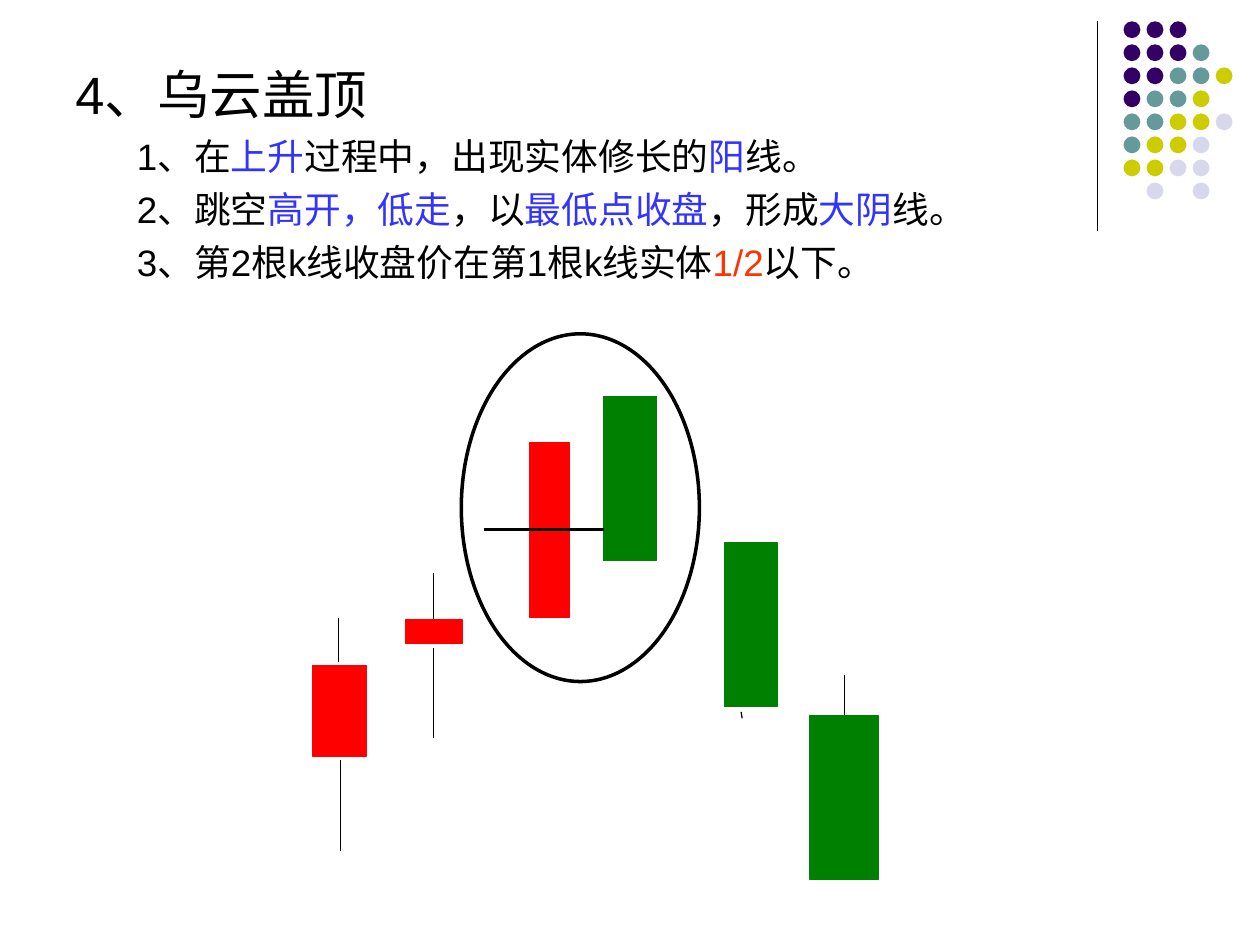
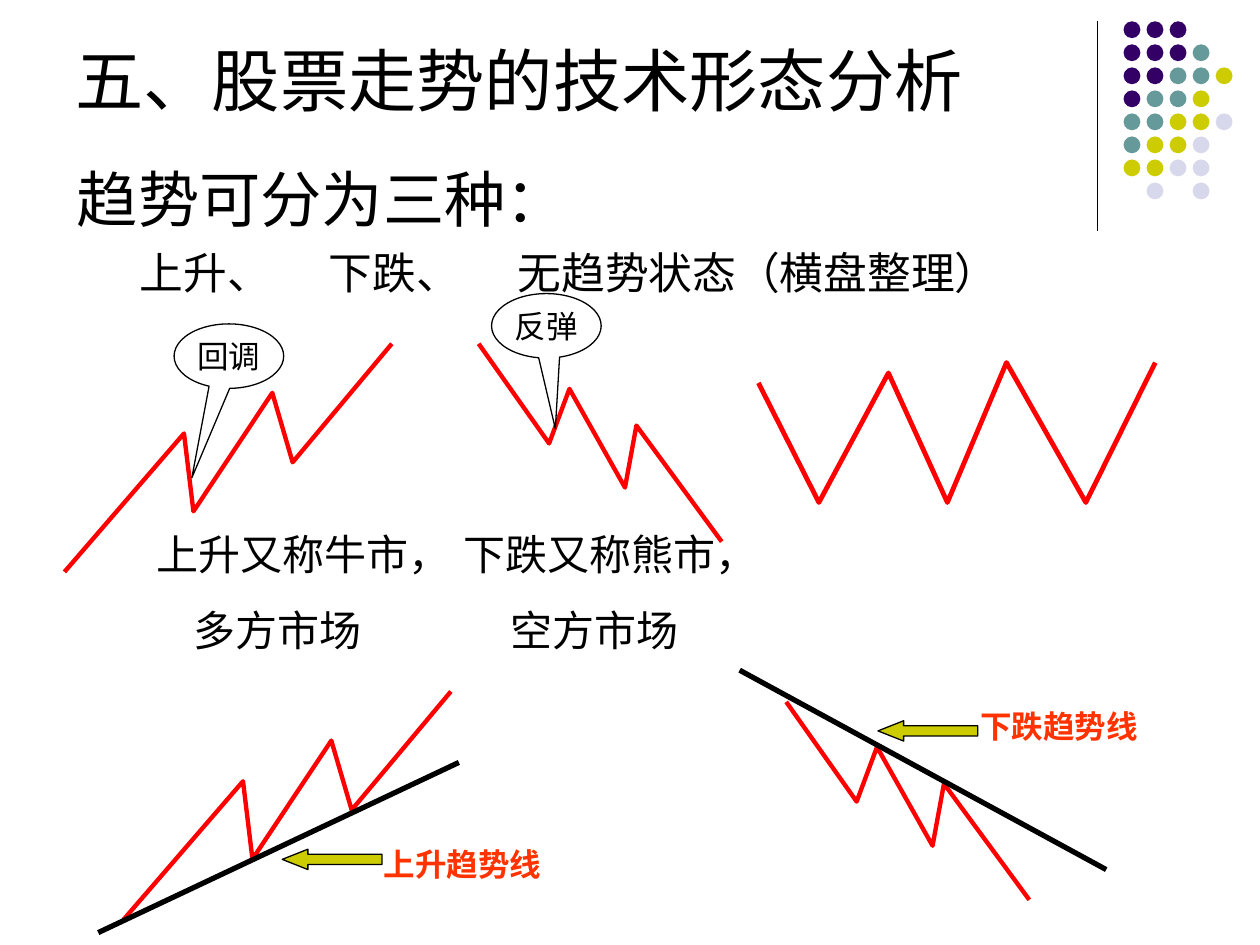
from lxml.etree import SubElement
from pptx import Presentation
from pptx.dml.color import RGBColor
from pptx.enum.shapes import MSO_CONNECTOR, MSO_SHAPE
from pptx.enum.text import MSO_ANCHOR, PP_ALIGN
from pptx.oxml.ns import qn
from pptx.util import Cm, Pt

HUES = {
    "ink": "000000", "blue": "3333FF", "warm": "FF3300",
    "rise": "FF0000", "fall": "008000",
    "P": "330066", "T": "669999", "Y": "CCCC00", "L": "D8D8EC",
}

# All lengths are in centimetres.
DOTS = ["PPP", "PPPT", "PPTTY", "PTTY", "TTYYL", "TYYL", "YYLL", " L L"]
DOT_X, DOT_Y, DOT_SIZE, DOT_STEP = 22.65, 0.43, 0.34, 3.25 / 7
RULE = (22.12, 0.43, 22.12, 4.65)

# A paragraph is (runs, size, space before, indent); a run is (text, hue).
CLOUD = [
    ([("4、乌云盖顶", "ink")], 30, 0, 0),
    ([("1、在", "ink"), ("上升", "blue"), ("过程中，出现实体修长的", "ink"),
      ("阳", "blue"), ("线。", "ink")], 21, 5.2, 1.24),
    ([("2、跳空", "ink"), ("高开，低走", "blue"), ("，以", "ink"),
      ("最低点收盘", "blue"), ("，形成", "ink"), ("大阴", "blue"),
      ("线。", "ink")], 21, 5.2, 1.24),
    ([("3、第2根k线收盘价在第1根k线实体", "ink"), ("1/2", "warm"),
      ("以下。", "ink")], 21, 5.2, 1.24),
]
WICKS = [
    (6.83, 12.45, 6.83, 13.34), (6.86, 15.32, 6.86, 17.15),
    (8.74, 11.56, 8.74, 12.47), (8.74, 13.06, 8.74, 14.88),
    (14.94, 14.35, 14.96, 14.48), (17.02, 13.61, 17.02, 14.5),
]
CANDLES = [
    ("rise", (6.3, 13.41, 1.09, 1.83)),
    ("rise", (8.18, 12.5, 1.14, 0.48)),
    ("rise", (10.67, 8.92, 0.81, 3.53)),
    ("fall", (12.17, 8, 1.07, 3.3)),
    ("fall", (14.6, 10.95, 1.07, 3.3)),
    ("fall", (16.33, 14.43, 1.37, 3.3)),
]
HALF = (9.75, 10.67, 12.17, 10.67)
RING = (9.3, 6.73, 4.8, 7.01)

TITLE = [([("五、股票走势的技术形态分析", "ink")], 39, 0, 0)]
KINDS = [
    ([("趋势可分为三种：", "ink")], 35, 0, 0),
    ([("\t上升、\t下跌、\t无趋势状态（横盘整理）", "ink")], 25, 6.2, 0),
]
KIND_TABS = [1.98 + 4.42 * i for i in range(3)]
MARKETS = [
    (2.9, 6.81, "上升又称牛市，", "多方市场", 0.76),
    (9.09, 6.6, "下跌又称熊市，", "空方市场", 0.95),
]

# Each zigzag is a list of offsets from its first point.
UP = [(2.41, -2.79), (2.6, -1.22), (4.19, -3.61), (4.6, -2.21), (6.6, -4.6)]
DOWN = [(1.42, 2.01), (1.83, 0.91), (2.95, 2.9), (3.18, 1.65), (4.9, 3.99)]
FLAT = [(1.22, 2.41), (2.62, -0.2), (3.81, 2.41), (5, -0.41), (6.6, 2.41),
        (8, -0.41)]
ZIGZAGS = [
    (UP, 1.3, 11.53, 2.5), (DOWN, 9.65, 6.93, 2.5), (FLAT, 15.29, 7.72, 2.75),
    (UP, 2.49, 18.54, 2.5), (DOWN, 15.85, 14.15, 2.5),
]
TRENDS = [(1.98, 18.8, 9.25, 15.37), (14.91, 13.51, 22.3, 17.53)]
ARROWS = [
    (5.69, 17.12, "上升趋势线", (7.49, 16.92, 3.78, 1.02)),
    (17.7, 14.53, "下跌趋势线", (19.51, 14.12, 3.68, 1.02)),
]
CALLS = [
    ("回调", (3.51, 6.53, 2.21, 1.3), (-0.338, 1.888)),
    ("反弹", (9.91, 5.92, 2.21, 1.3), (0.082, 1.595)),
]


def hue(name):
    return RGBColor.from_string(HUES[name])


def paint(shape, fill=None, edge=None, width=0.75):
    shape.shadow.inherit = False
    if fill:
        shape.fill.solid()
        shape.fill.fore_color.rgb = hue(fill)
    else:
        shape.fill.background()
    if edge:
        shape.line.color.rgb = hue(edge)
        shape.line.width = Pt(width)
    else:
        shape.line.fill.background()


def form(slide, kind, area, fill=None, edge=None, width=0.75, bends=()):
    shape = slide.shapes.add_shape(kind, *map(Cm, area))
    paint(shape, fill, edge, width)
    for i, bend in enumerate(bends):
        shape.adjustments[i] = bend
    return shape


def line(slide, ends, width=0.75):
    link = slide.shapes.add_connector(MSO_CONNECTOR.STRAIGHT, *map(Cm, ends))
    link.line.color.rgb = hue("ink")
    link.line.width = Pt(width)
    SubElement(link._element.spPr, qn("a:effectLst"))


def zigzag(slide, steps, x, y, width):
    pen = slide.shapes.build_freeform(Cm(x), Cm(y))
    pen.add_line_segments([(Cm(x + dx), Cm(y + dy)) for dx, dy in steps],
                          close=False)
    paint(pen.convert_to_shape(), None, "rise", width)


def write(frame, paras, font="Arial", bold=False, tabs=()):
    for i, (runs, size, gap, dent) in enumerate(paras):
        para = frame.paragraphs[0] if i == 0 else frame.add_paragraph()
        props = para._p.get_or_add_pPr()
        props.set("marL", str(Cm(dent)))
        props.set("indent", "0")
        if gap:
            para.space_before = Pt(gap)
        if tabs:
            stops = SubElement(props, qn("a:tabLst"))
            for stop in tabs:
                SubElement(stops, qn("a:tab"), pos=str(Cm(stop)), algn="l")
        for text, tint in runs:
            run = para.add_run()
            run.text = text
            run.font.name = font
            run.font.size = Pt(size)
            run.font.bold = bold
            run.font.color.rgb = hue(tint)


def label(slide, area, paras, wrap=True, anchor=MSO_ANCHOR.TOP, **style):
    frame = slide.shapes.add_textbox(*map(Cm, area)).text_frame
    frame.word_wrap = wrap
    frame.vertical_anchor = anchor
    write(frame, paras, **style)


def start(deck):
    """Add a slide with the shared rule and dot pattern."""
    slide = deck.slides.add_slide(deck.slide_layouts[6])
    line(slide, RULE)
    for r, row in enumerate(DOTS):
        for c, key in enumerate(row):
            if key != " ":
                spot = (DOT_X + c * DOT_STEP, DOT_Y + r * DOT_STEP,
                        DOT_SIZE, DOT_SIZE)
                form(slide, MSO_SHAPE.OVAL, spot, key)
    return slide


def cloud(deck):
    slide = start(deck)
    label(slide, (1.27, 1.12, 22.86, 15.9), CLOUD)
    for ends in WICKS:
        line(slide, ends)
    for tint, area in CANDLES:
        form(slide, MSO_SHAPE.RECTANGLE, area, tint, tint)
    line(slide, HALF, 2)
    form(slide, MSO_SHAPE.OVAL, RING, None, "ink", 2)


def trends(deck):
    slide = start(deck)
    label(slide, (1.27, 0.33, 20.96, 2.21), TITLE, anchor=MSO_ANCHOR.BOTTOM)
    label(slide, (1.3, 3.12, 23.39, 3.4), KINDS, tabs=KIND_TABS)
    for zig in ZIGZAGS:
        zigzag(slide, *zig)
    for x, wide, name, side, dent in MARKETS:
        label(slide, (x, 10.52, wide, 2.82),
              [([(name, "ink")], 24, 0, 0), ([(side, "ink")], 24, 15, dent)],
              font="DejaVu Sans")
    for ends in TRENDS:
        line(slide, ends, 3)
    for x, y, text, area in ARROWS:
        form(slide, MSO_SHAPE.LEFT_ARROW, (x, y, 2.01, 0.41), "Y", "ink",
             bends=(0.5, 1.261))
        label(slide, area, [([(text, "warm")], 18, 0, 0)], wrap=False,
              font="DejaVu Sans", bold=True)
    for text, area, bends in CALLS:
        call = form(slide, MSO_SHAPE.OVAL_CALLOUT, area, None, "ink",
                    bends=bends)
        frame = call.text_frame
        frame.margin_left = frame.margin_right = 0
        frame.margin_top = frame.margin_bottom = 0
        write(frame, [([(text, "ink")], 18, 0, 0)])
        frame.paragraphs[0].alignment = PP_ALIGN.CENTER


def main():
    deck = Presentation()
    deck.slide_width, deck.slide_height = Cm(25.4), Cm(19.05)
    cloud(deck)
    trends(deck)
    deck.save("out.pptx")


if __name__ == "__main__":
    main()
